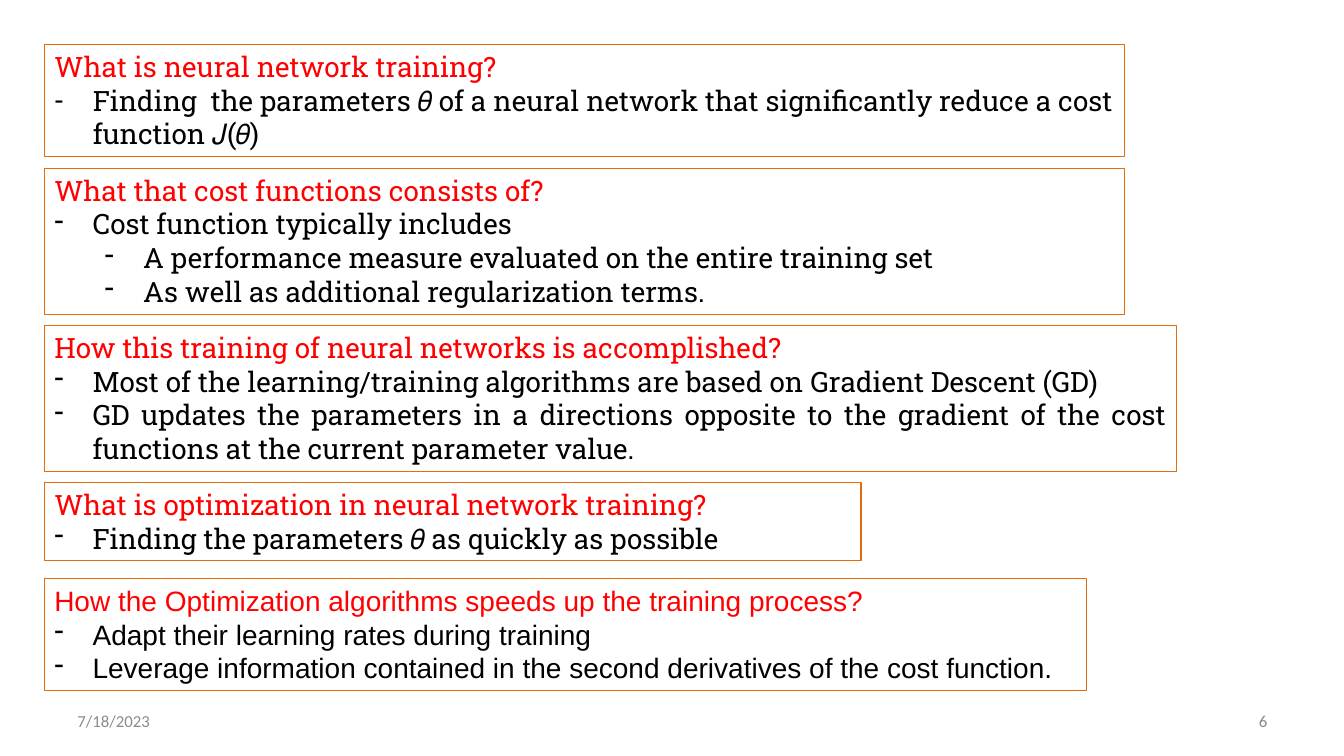
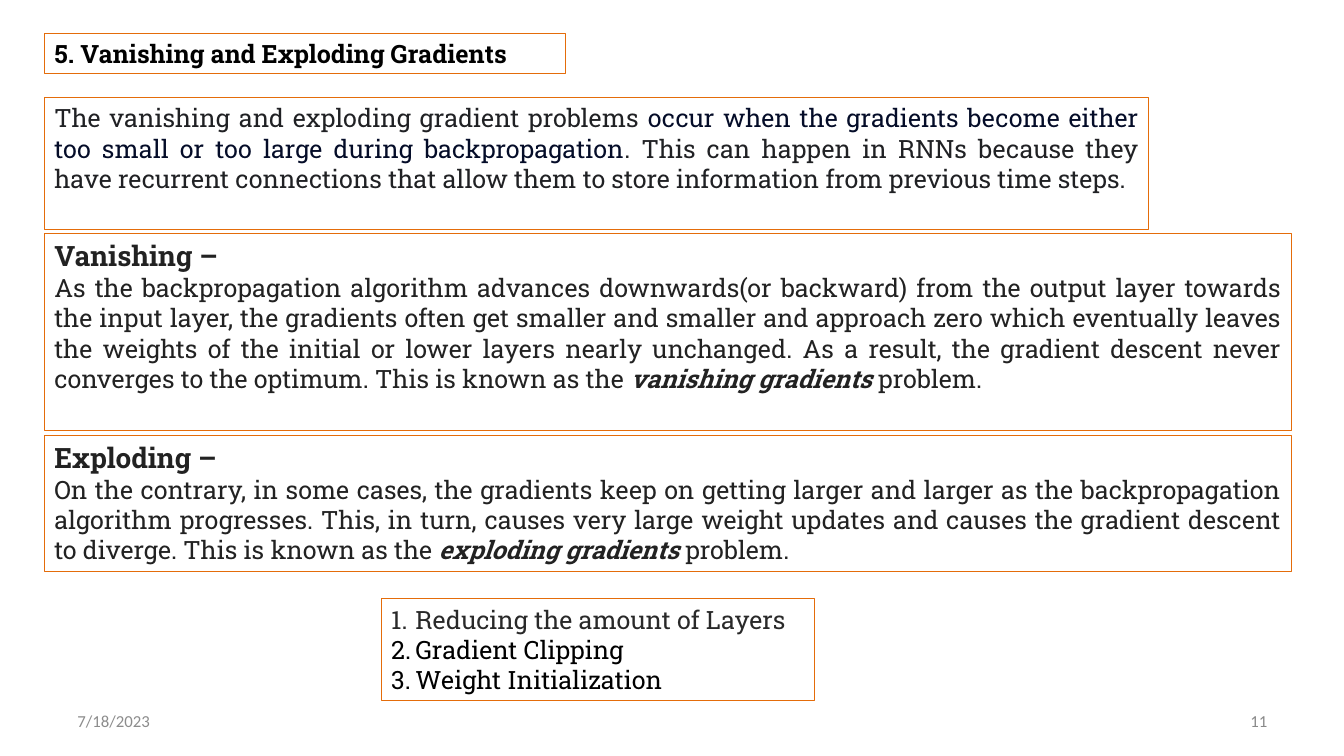
import lxml.etree
import pptx
import pptx.dml.color
import pptx.enum.text
import pptx.oxml.ns
import pptx.util

Inches = pptx.util.Inches
ALIGN = pptx.enum.text.PP_ALIGN
ANCHOR = pptx.enum.text.MSO_ANCHOR

COLORS = {
    "border": "E46C0A",
    "question": "FF0000",
    "black": "000000",
    "gradient": "222222",
    "intro": "202124",
    "highlight": "040C28",
    "solution": "292929",
    "date": "8C8C8C",
    "number": "898989",
}
SLAB, SANS, FOOTER_FONT = "Roboto Slab", "Arial", "Calibri"
LEFT = 0.44

DASH = ("buChar", {"char": "-"})
NUMBER = ("buAutoNum", {"type": "arabicPeriod"})
NO_BULLET = ("buNone", {})

# Each style: run font, text colour, then optional list layout.
STYLES = {
    "title": {"font": {"size": 18, "bold": True}, "color": "black"},
    "question": {"font": {"size": 20}, "color": "question"},
    "point": {"font": {"size": 20}, "color": "black",
              "bullet": DASH, "margin": 0.38, "hanging": 0.38},
    "subpoint": {"font": {"size": 20}, "color": "black", "level": 1,
                 "bullet": DASH, "margin": 0.88, "hanging": 0.38},
    "heading": {"font": {"size": 20, "bold": True}, "color": "gradient"},
    "explanation": {"font": {"size": 18}, "color": "gradient"},
    "intro": {"font": {"size": 18}, "color": "intro"},
    "solution": {"font": {"size": 18}, "color": "black",
                 "bullet": NUMBER, "margin": 0.24, "hanging": 0.24},
    "date": {"font": {"size": 12}, "color": "date"},
    "number": {"font": {"size": 12}, "color": "number"},
}
TERM = {"bold": True, "italic": True}

# Top, width, font, alignment, height and paragraphs of each question box.
QUESTIONS = [
    (0.44, 10.71, 1.11, SLAB, ALIGN.LEFT, [
        ("question", "What is neural network training?"),
        ("point", "Finding  the parameters 𝜃 of a neural network that "
                  "significantly reduce a cost function 𝐽(𝜃)"),
    ]),
    (1.67, 10.71, 1.45, SLAB, ALIGN.LEFT, [
        ("question", "What that cost functions consists of?"),
        ("point", "Cost function typically includes"),
        ("subpoint", "A performance measure evaluated on the entire training set"),
        ("subpoint", "As well as additional regularization terms."),
    ]),
    (3.23, 11.23, 1.45, SLAB, ALIGN.JUSTIFY, [
        ("question", "How this training of neural networks is accomplished?"),
        ("point", "Most of the learning/training algorithms are based on "
                  "Gradient Descent (GD)"),
        ("point", "GD updates the parameters in a directions opposite to the "
                  "gradient of the cost functions at the current parameter value."),
    ]),
    (4.79, 8.1, 0.77, SLAB, ALIGN.LEFT, [
        ("question", "What is optimization in neural network training?"),
        ("point", "Finding the parameters 𝜃 as quickly as possible"),
    ]),
    (5.74, 10.34, 1.11, SANS, ALIGN.LEFT, [
        ("question", "How the Optimization algorithms speeds up the training process?"),
        ("point", "Adapt their learning rates during training"),
        ("point", "Leverage information contained in the second derivatives of "
                  "the cost function."),
    ]),
]

INTRO = [
    ("intro", [
        ("The vanishing and exploding gradient problems ", {}),
        ("occur when the gradients become either too small or too large during "
         "backpropagation", {"color": "highlight"}),
        (". This can happen in RNNs because they have recurrent connections that "
         "allow them to store information from previous time steps.", {}),
    ]),
]
VANISHING = [
    ("heading", "Vanishing –"),
    ("explanation", [
        ("As the backpropagation algorithm advances downwards(or backward) from "
         "the output layer towards the input layer, the gradients often get "
         "smaller and smaller and approach zero which eventually leaves the "
         "weights of the initial or lower layers nearly unchanged. As a result, "
         "the gradient descent never converges to the optimum. This is known as "
         "the ", {}),
        ("vanishing gradients", TERM),
        (" problem.", {}),
    ]),
]
EXPLODING = [
    ("heading", "Exploding –"),
    ("explanation", [
        ("On the contrary, in some cases, the gradients keep on getting larger "
         "and larger as the backpropagation algorithm progresses. This, in turn, "
         "causes very large weight updates and causes the gradient descent to "
         "diverge. This is known as the ", {}),
        ("exploding gradients", TERM),
        (" problem.", {}),
    ]),
]
SOLUTIONS = [
    ("solution", [("Reducing the amount of Layers", {"color": "solution"})]),
    ("solution", "Gradient Clipping"),
    ("solution", "Weight Initialization"),
]


def rgb(name):
    return pptx.dml.color.RGBColor.from_string(COLORS[name])


def set_attributes(target, values):
    for name, value in values.items():
        setattr(target, name, value)


def format_list(paragraph, style):
    """Set level, hanging indent and bullet, overriding what is inherited."""
    paragraph.level = style.get("level", 0)
    properties = paragraph._p.get_or_add_pPr()
    properties.set("marL", str(Inches(style.get("margin", 0))))
    properties.set("indent", str(-Inches(style.get("hanging", 0))))
    tag, attributes = style.get("bullet", NO_BULLET)
    if tag == "buChar":
        lxml.etree.SubElement(properties, pptx.oxml.ns.qn("a:buFontTx"))
    lxml.etree.SubElement(properties, pptx.oxml.ns.qn("a:" + tag), attributes)


def add_run(paragraph, text, style, font_name, changes):
    run = paragraph.add_run()
    run.text = text
    values = {"name": font_name, **style["font"], **changes}
    run.font.color.rgb = rgb(values.pop("color", style["color"]))
    values["size"] = pptx.util.Pt(values["size"])
    set_attributes(run.font, values)


def write_paragraphs(shape, paragraphs, font_name=SLAB, alignment=ALIGN.LEFT,
                     anchor=ANCHOR.TOP):
    """Fill a shape with (style, text) or (style, [(text, changes)]) items."""
    frame = shape.text_frame
    set_attributes(frame, {
        "word_wrap": True,
        "auto_size": pptx.enum.text.MSO_AUTO_SIZE.NONE,
        "vertical_anchor": anchor,
    })
    for index, (style_name, content) in enumerate(paragraphs):
        paragraph = frame.add_paragraph() if index else frame.paragraphs[0]
        set_attributes(paragraph, {
            "alignment": alignment,
            "line_spacing": 1.0,
            "space_before": pptx.util.Pt(0),
            "space_after": pptx.util.Pt(0),
        })
        style = STYLES[style_name]
        format_list(paragraph, style)
        runs = [(content, {})] if isinstance(content, str) else content
        for text, changes in runs:
            add_run(paragraph, text, style, font_name, changes)


def add_box(slide, position, paragraphs, placeholder=None, **text_format):
    """Make an outlined text box, or turn the given placeholder into one."""
    lengths = [Inches(length) for length in position]
    shape = placeholder or slide.shapes.add_textbox(*lengths)
    set_attributes(shape, dict(zip(("left", "top", "width", "height"), lengths)))
    shape.fill.background()
    shape.line.color.rgb = rgb("border")
    shape.line.width = pptx.util.Pt(0.75)
    write_paragraphs(shape, paragraphs, **text_format)


def add_footer(slide, number):
    for left, style, text, alignment in (
        (0.67, "date", "7/18/2023", ALIGN.LEFT),
        (9.56, "number", number, ALIGN.RIGHT),
    ):
        shape = slide.shapes.add_textbox(
            Inches(left), Inches(6.95), Inches(3.11), Inches(0.4))
        write_paragraphs(shape, [(style, text)], FOOTER_FONT, alignment,
                         ANCHOR.MIDDLE)


def add_slide(presentation, number):
    slide = presentation.slides.add_slide(presentation.slide_layouts[1])
    add_footer(slide, number)
    return slide


def build_questions(presentation):
    slide = add_slide(presentation, "6")
    title = slide.shapes.title
    title.element.getparent().remove(title.element)
    body = slide.placeholders[1]
    for index, question in enumerate(QUESTIONS):
        top, width, height, font_name, alignment, paragraphs = question
        add_box(slide, (LEFT, top, width, height), paragraphs,
                placeholder=None if index else body,
                font_name=font_name, alignment=alignment)


def build_gradients(presentation):
    slide = add_slide(presentation, "11")
    add_box(slide, (LEFT, 0.33, 5.17, 0.4),
            [("title", "5. Vanishing and Exploding Gradients")],
            placeholder=slide.shapes.title)
    for top, width, height, paragraphs in (
        (0.97, 10.95, 1.31, INTRO),
        (2.32, 12.37, 1.95, VANISHING),
        (4.32, 12.37, 1.35, EXPLODING),
    ):
        add_box(slide, (LEFT, top, width, height), paragraphs,
                alignment=ALIGN.JUSTIFY)
    add_box(slide, (3.78, 5.94, 4.3, 1.01), SOLUTIONS,
            placeholder=slide.placeholders[1])


def main():
    presentation = pptx.Presentation()
    presentation.slide_width = Inches(13.33)
    presentation.slide_height = Inches(7.5)
    build_questions(presentation)
    build_gradients(presentation)
    presentation.save("out.pptx")


if __name__ == "__main__":
    main()
